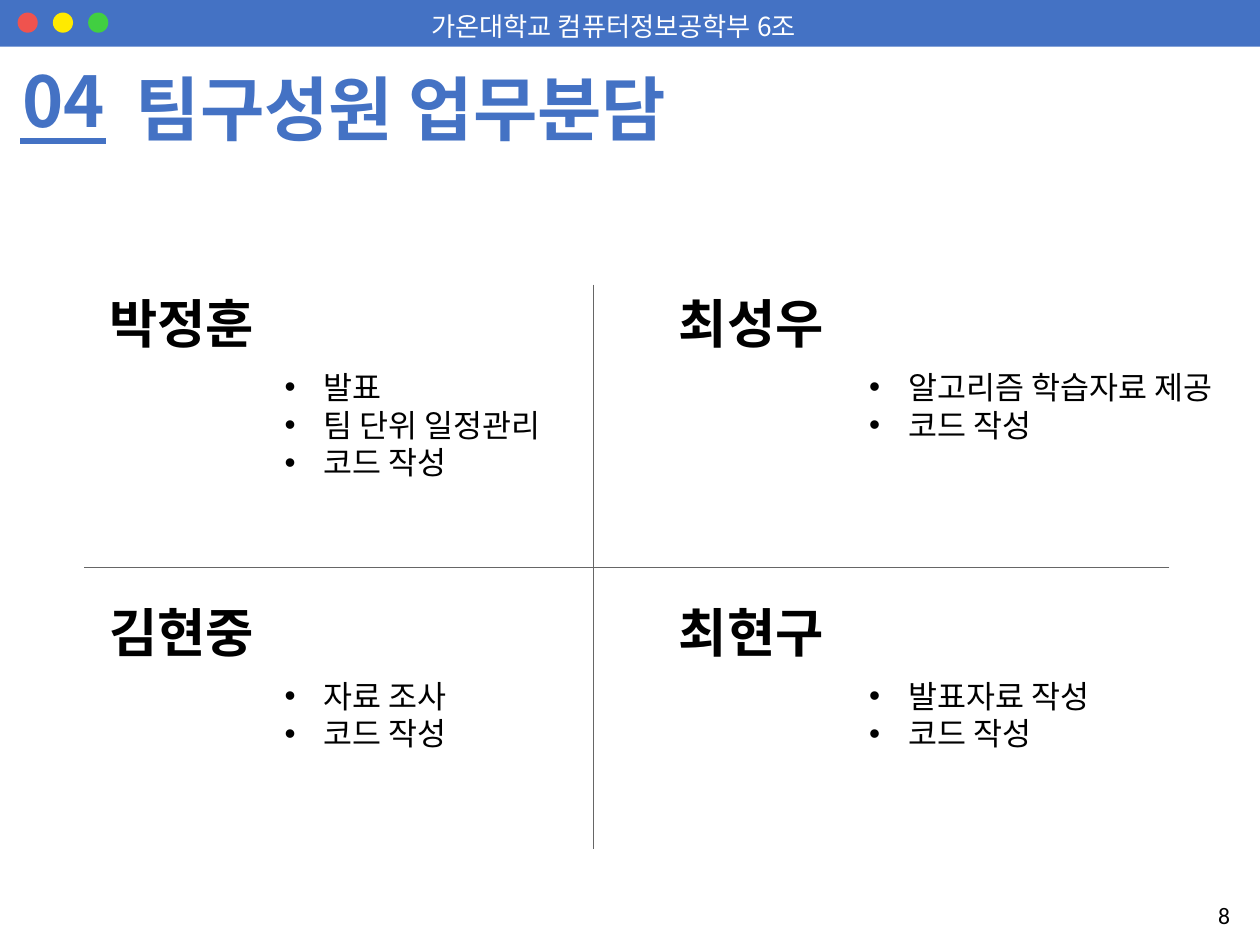
from dataclasses import dataclass

from lxml.etree import SubElement
from pptx import Presentation
from pptx.dml.color import RGBColor as RGB
from pptx.enum.shapes import MSO_CONNECTOR as Link, MSO_SHAPE as Shape
from pptx.enum.text import MSO_AUTO_SIZE as Auto, PP_ALIGN as Align
from pptx.oxml.ns import qn
from pptx.util import Inches, Pt


@dataclass(frozen=True)
class Theme:
    face: str = "Noto Sans CJK KR"
    plain: str = "Calibri"
    blue: str = "4472C4"
    white: str = "FFFFFF"
    black: str = "000000"
    gray: str = "666666"
    dots: tuple = ("EF534E", "FFEA00", "41CF41")
    head: float = 40
    name: float = 30
    task: float = 18
    bar: float = 15
    page: float = 13.5


THEME = Theme()


def add_solid(slide, kind, box, color):
    shape = slide.shapes.add_shape(kind, *map(Inches, box))
    shape.shadow.inherit = False
    shape.fill.solid()
    shape.fill.fore_color.rgb = RGB.from_string(color)
    shape.line.fill.background()


def add_line(slide, start, end, color, width):
    line = slide.shapes.add_connector(Link.STRAIGHT, *map(Inches, start + end))
    line.line.color.rgb = RGB.from_string(color)
    line.line.width = Pt(width)
    SubElement(line._element.spPr, qn("a:effectLst"))


def add_bullet(para):
    props = para._p.get_or_add_pPr()
    props.set("marL", str(Inches(0.31)))
    props.set("indent", str(Inches(-0.31)))
    SubElement(props, qn("a:buFont")).set("typeface", "Arial")
    SubElement(props, qn("a:buChar")).set("char", "•")


def set_font(para, size, color, bold, face):
    font = para.font
    font.name = face
    font.size = Pt(size)
    font.bold = bold
    font.color.rgb = RGB.from_string(color)
    props = para._p.pPr.find(qn("a:defRPr"))
    SubElement(props, qn("a:ea")).set("typeface", face)


def add_text(slide, box, lines, size, color=THEME.black, bold=False,
             face=THEME.face, align=Align.LEFT, bullet=False, fit=True):
    frame = slide.shapes.add_textbox(*map(Inches, box)).text_frame
    frame.word_wrap = True
    frame.auto_size = Auto.SHAPE_TO_FIT_TEXT if fit else Auto.NONE
    frame.text = "\n".join(lines)
    for para in frame.paragraphs:
        para.alignment = align
        if bullet:
            add_bullet(para)
        set_font(para, size, color, bold, face)


def add_header(slide):
    add_solid(slide, Shape.RECTANGLE, (0, 0, 10, 0.37), THEME.blue)
    for i, color in enumerate(THEME.dots):
        add_solid(slide, Shape.OVAL, (0.14 + 0.28 * i, 0.1, 0.16, 0.16), color)
    add_text(slide, (2.6, 0.03, 4.54, 0.35), ["가온대학교 컴퓨터정보공학부 6조"],
             THEME.bar, THEME.white, align=Align.CENTER)
    add_line(slide, (0.16, 1.12), (0.84, 1.12), THEME.blue, 3)
    add_text(slide, (0.08, 0.41, 1.02, 0.77), ["04"],
             THEME.head, THEME.blue, True)
    add_text(slide, (0.98, 0.47, 5.91, 0.77), ["팀구성원 업무분담"],
             THEME.head, THEME.blue, True)


def add_member(slide, row, col, name, tasks):
    top = 2.26 + 2.45 * row
    left, inner, width = ((0.77, 2.16, 2.55), (5.29, 6.8, 3.28))[col]
    add_text(slide, (left, top, 1.49, 0.61), [name], THEME.name, bold=True)
    high = 0.11 + 0.3 * len(tasks)
    add_text(slide, (inner, top + 0.61, width, high), tasks,
             THEME.task, bullet=True)


def main():
    deck = Presentation()
    deck.slide_width, deck.slide_height = Inches(10), Inches(7.5)
    slide = deck.slides.add_slide(deck.slide_layouts[6])
    add_header(slide)
    team = (
        ("박정훈", ["발표", "팀 단위 일정관리", "코드 작성"]),
        ("최성우", ["알고리즘 학습자료 제공", "코드 작성"]),
        ("김현중", ["자료 조사", "코드 작성"]),
        ("최현구", ["발표자료 작성", "코드 작성"]),
    )
    for i, (name, tasks) in enumerate(team):
        add_member(slide, *divmod(i, 2), name, tasks)
    add_line(slide, (4.71, 2.26), (4.71, 6.74), THEME.gray, 0.5)
    add_line(slide, (9.28, 4.5), (0.67, 4.5), THEME.gray, 0.5)
    add_text(slide, (9.57, 7.1, 0.52, 0.4), ["8"], THEME.page,
             face=THEME.plain, fit=False)
    deck.save("out.pptx")


if __name__ == "__main__":
    main()
